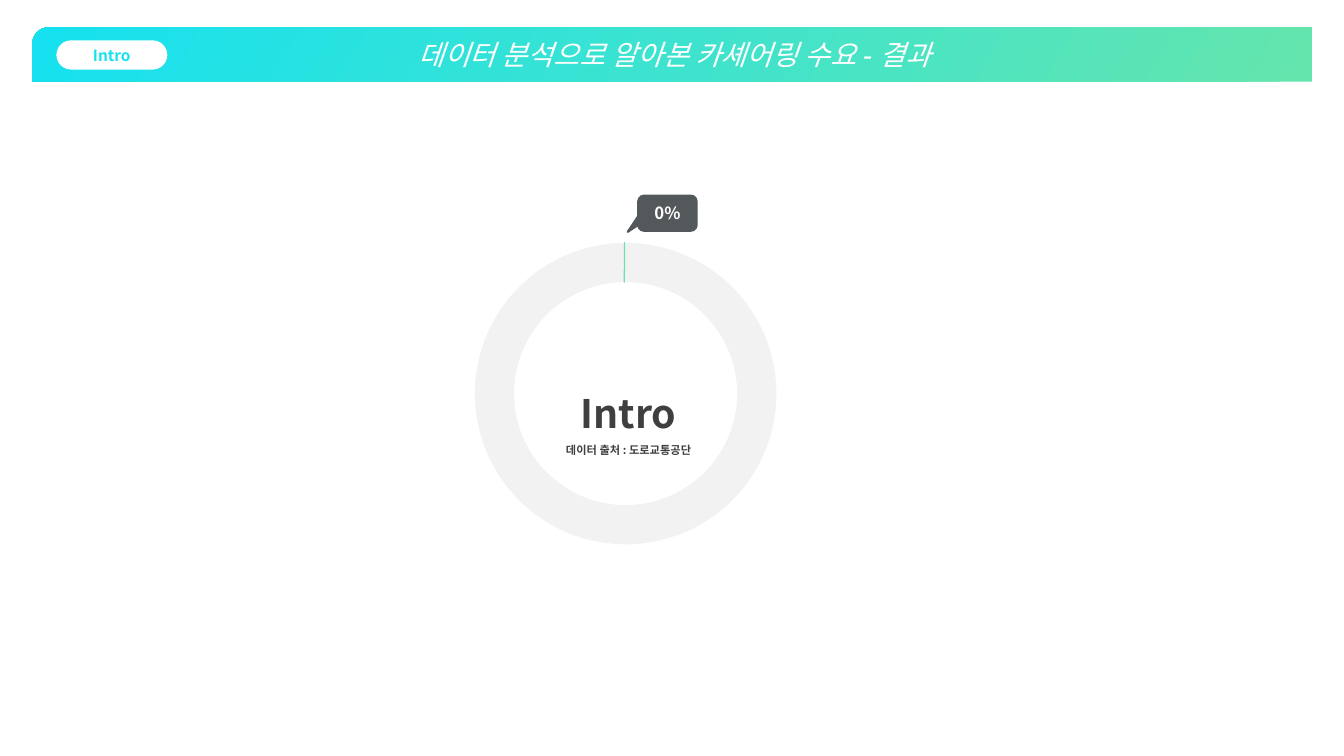
from dataclasses import dataclass

from pptx import Presentation
from pptx.dml.color import RGBColor
from pptx.enum.shapes import MSO_SHAPE
from pptx.enum.text import MSO_ANCHOR, PP_ALIGN
from pptx.util import Inches, Pt

CENTER = PP_ALIGN.CENTER
MIDDLE = MSO_ANCHOR.MIDDLE

WHITE = RGBColor(0xFF, 0xFF, 0xFF)
GREEN = RGBColor(0x64, 0xE5, 0xAD)
CYAN = RGBColor(0x16, 0xE1, 0xF0)
RING_GRAY = RGBColor(0xF2, 0xF2, 0xF2)
SLATE = RGBColor(0x53, 0x58, 0x5B)
CHARCOAL = RGBColor(0x3F, 0x3F, 0x3F)

KOREAN_FONT = "Noto Sans CJK KR"
GRADIENT_ANGLE = 30


@dataclass(frozen=True)
class Label:
    text: str
    size: float
    color: RGBColor
    font: str = KOREAN_FONT
    bold: bool = True
    italic: bool = False


@dataclass(frozen=True)
class Block:
    """A preset shape; without a fill colour it takes the green-cyan gradient."""

    preset: MSO_SHAPE
    box: tuple[float, float, float, float]
    adjustments: tuple[float, ...]
    fill: RGBColor | None = None
    line: RGBColor | None = None
    line_width: float = 0
    label: Label | None = None
    mirrored: bool = False


BLOCKS = (
    Block(MSO_SHAPE.ROUND_1_RECTANGLE, (0.32, 0.27, 12.7, 0.54), (0.31,), mirrored=True,
          label=Label("데이터 분석으로 알아본 카셰어링 수요 - 결과", 20, WHITE,
                      font="Arial", bold=False, italic=True)),
    Block(MSO_SHAPE.ROUNDED_RECTANGLE, (0.56, 0.4, 1.1, 0.29), (0.5,), WHITE,
          label=Label("Intro", 11, CYAN)),
    Block(MSO_SHAPE.DONUT, (4.71, 2.41, 2.99, 2.99), (0.13,), RING_GRAY),
    Block(MSO_SHAPE.BLOCK_ARC, (4.69, 2.41, 2.99, 2.99), (162.18, 162.24, 0.13),
          line=GREEN, line_width=0.75),
    Block(MSO_SHAPE.ROUNDED_RECTANGULAR_CALLOUT, (6.33, 1.94, 0.58, 0.35),
          (-0.68, 0.53, 0.17), SLATE, SLATE, 1.5, Label("0%", 12, WHITE)),
)

CENTER_BOX = (5.07, 3.58, 2.33, 1.06)
CENTER_LABELS = (
    Label("Intro", 28, CHARCOAL),
    Label("데이터 출처 : 도로교통공단", 8, CHARCOAL),
)


def write_label(paragraph, label: Label) -> None:
    paragraph.text = label.text
    paragraph.alignment = CENTER
    font = paragraph.font
    font.name = label.font
    font.size = Pt(label.size)
    font.bold = label.bold
    font.italic = label.italic
    font.color.rgb = label.color


def paint_gradient(fill) -> None:
    fill.gradient()
    fill.gradient_angle = GRADIENT_ANGLE
    for stop, color in zip(fill.gradient_stops, (GREEN, CYAN)):
        stop.color.rgb = color


def add_block(slide, block: Block) -> None:
    shape = slide.shapes.add_shape(block.preset, *map(Inches, block.box))
    shape.shadow.inherit = False
    for index, value in enumerate(block.adjustments):
        shape.adjustments[index] = value
    if block.mirrored:
        shape.element.spPr.xfrm.set("flipH", "1")
    if block.fill is None:
        paint_gradient(shape.fill)
    else:
        shape.fill.solid()
        shape.fill.fore_color.rgb = block.fill
    if block.line is None:
        shape.line.fill.background()
    else:
        shape.line.color.rgb = block.line
        shape.line.width = Pt(block.line_width)
    if block.label:
        shape.text_frame.vertical_anchor = MIDDLE
        write_label(shape.text_frame.paragraphs[0], block.label)


def add_center_text(slide) -> None:
    frame = slide.shapes.add_textbox(*map(Inches, CENTER_BOX)).text_frame
    frame.word_wrap = True
    for index, label in enumerate(CENTER_LABELS):
        paragraph = frame.add_paragraph() if index else frame.paragraphs[0]
        paragraph.line_spacing = 1.5
        write_label(paragraph, label)


def main() -> None:
    presentation = Presentation()
    presentation.slide_width = Inches(13.33)
    presentation.slide_height = Inches(7.5)
    slide = presentation.slides.add_slide(presentation.slide_layouts[6])
    for block in BLOCKS:
        add_block(slide, block)
    add_center_text(slide)
    presentation.save("out.pptx")


if __name__ == "__main__":
    main()
